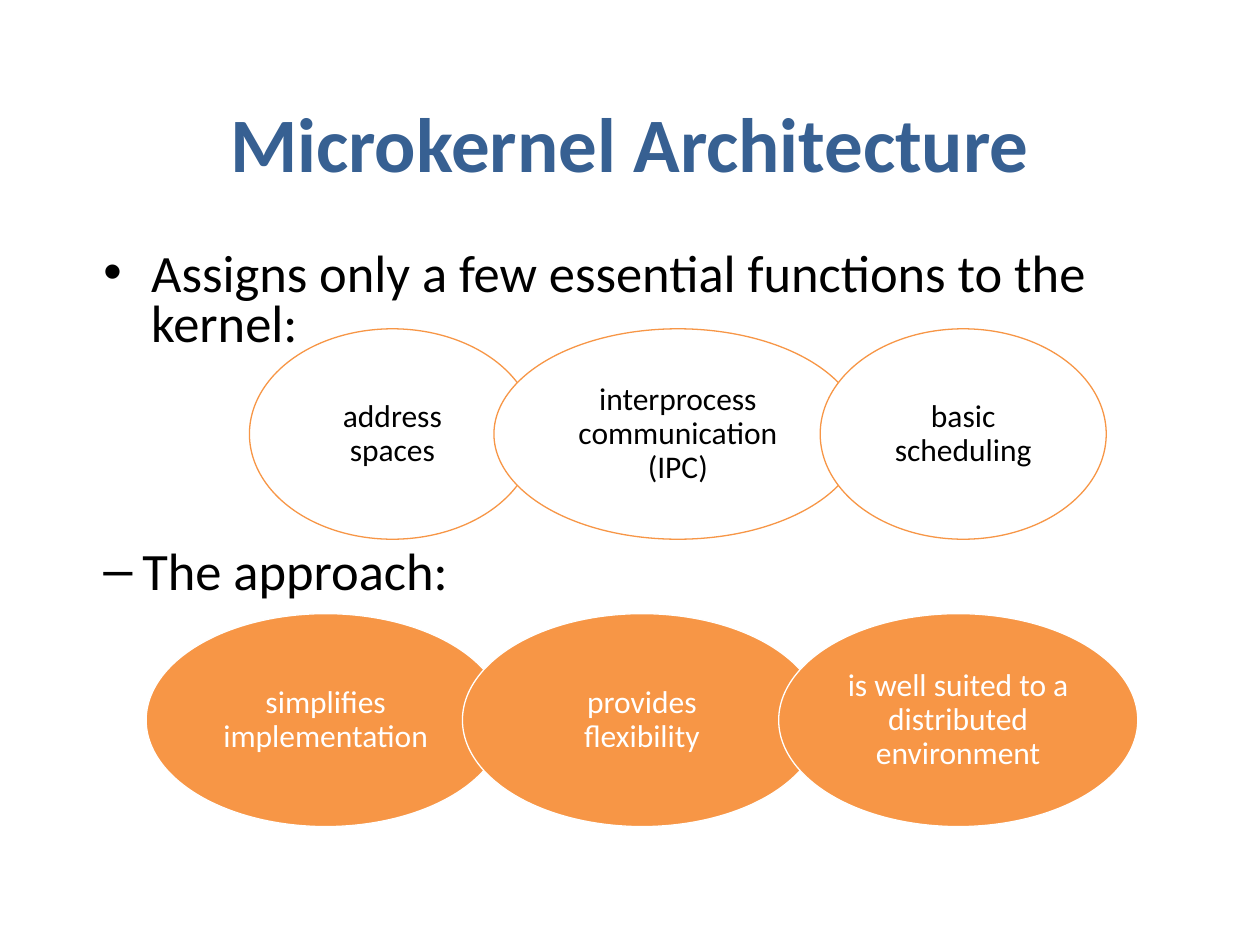
from dataclasses import dataclass

from lxml import etree
from pptx import Presentation
from pptx.dml.color import RGBColor
from pptx.enum.shapes import MSO_SHAPE
from pptx.enum.text import MSO_ANCHOR, MSO_AUTO_SIZE, PP_ALIGN
from pptx.oxml.ns import qn
from pptx.slide import Slide
from pptx.text.text import TextFrame
from pptx.util import Inches, Pt

OVAL = MSO_SHAPE.OVAL
CENTER = PP_ALIGN.CENTER
MIDDLE = MSO_ANCHOR.MIDDLE
TOP = MSO_ANCHOR.TOP
NO_AUTOFIT = MSO_AUTO_SIZE.NONE


@dataclass(frozen=True)
class Theme:
    font: str = "Calibri"
    heading: RGBColor = RGBColor(0x37, 0x60, 0x92)
    text: RGBColor = RGBColor(0, 0, 0)
    accent: RGBColor = RGBColor(0xF7, 0x96, 0x46)
    white: RGBColor = RGBColor(0xFF, 0xFF, 0xFF)
    title_size: int = 44
    body_size: int = 30
    oval_size: int = 18
    outline: float = 0.75


THEME = Theme()


@dataclass(frozen=True)
class Bullet:
    text: str
    mark: str
    level: int
    indent: float
    space_before: float


@dataclass(frozen=True)
class Oval:
    text: str
    width: float


@dataclass(frozen=True)
class OvalChain:
    left: float
    top: float
    height: float
    overlap: float
    fill: RGBColor
    line: RGBColor
    text_color: RGBColor
    ovals: tuple[Oval, ...]


BULLETS = (
    Bullet("Assigns only a few essential functions to the kernel:", "•", 0, 0.38, 0),
    # The space leaves room for the first chain of ovals
    Bullet("The approach:", "–", 1, 0.31, 113),
)

CHAINS = (
    OvalChain(1.98, 2.61, 1.67, 0.33, THEME.white, THEME.accent, THEME.text, (
        Oval("address spaces", 2.27),
        Oval("interprocess communication (IPC)", 2.92),
        Oval("basic scheduling", 2.27),
    )),
    OvalChain(1.16, 4.87, 1.69, 0.34, THEME.accent, THEME.white, THEME.white, (
        Oval("simplifies implementation", 2.85),
        Oval("provides flexibility", 2.85),
        Oval("is well suited to a distributed environment", 2.85),
    )),
)


def add_run(paragraph, text: str, size: float, color: RGBColor, bold: bool = False) -> None:
    run = paragraph.add_run()
    run.text = text
    run.font.name = THEME.font
    run.font.size = Pt(size)
    run.font.bold = bold
    run.font.color.rgb = color


def place(shape, left: float, top: float, width: float, height: float) -> None:
    shape.left, shape.top = Inches(left), Inches(top)
    shape.width, shape.height = Inches(width), Inches(height)


def add_bullet(frame: TextFrame, bullet: Bullet, first: bool) -> None:
    paragraph = frame.paragraphs[0] if first else frame.add_paragraph()
    paragraph.level = bullet.level
    properties = paragraph._p.get_or_add_pPr()
    properties.set("marL", str(Inches(bullet.indent)))
    properties.set("indent", str(-Inches(bullet.indent)))
    etree.SubElement(properties, qn("a:buChar")).set("char", bullet.mark)
    paragraph.line_spacing = 0.8
    paragraph.space_before = Pt(bullet.space_before)
    add_run(paragraph, bullet.text, THEME.body_size, THEME.text)


def add_chain(slide: Slide, chain: OvalChain) -> None:
    group = slide.shapes.add_group_shape()
    left = chain.left
    for oval in chain.ovals:
        shape = group.shapes.add_shape(
            OVAL, Inches(left), Inches(chain.top), Inches(oval.width), Inches(chain.height))
        shape.shadow.inherit = False
        shape.fill.solid()
        shape.fill.fore_color.rgb = chain.fill
        shape.line.color.rgb = chain.line
        shape.line.width = Pt(THEME.outline)
        frame = shape.text_frame
        frame.word_wrap = True
        frame.vertical_anchor = MIDDLE
        frame.margin_left = frame.margin_right = Inches(0.09)
        frame.margin_top = frame.margin_bottom = Inches(0.03)
        paragraph = frame.paragraphs[0]
        paragraph.alignment = CENTER
        paragraph.line_spacing = 0.9
        add_run(paragraph, oval.text, THEME.oval_size, chain.text_color)
        left += oval.width - chain.overlap


def main() -> None:
    presentation = Presentation()
    presentation.slide_width, presentation.slide_height = Inches(10), Inches(7.5)
    slide = presentation.slides.add_slide(presentation.slide_layouts[1])

    # Title
    title = slide.shapes.title
    place(title, 0.72, 0.5, 8.56, 1.25)
    title.text_frame.vertical_anchor = MIDDLE
    heading = title.text_frame.paragraphs[0]
    heading.alignment = CENTER
    add_run(heading, "Microkernel Architecture", THEME.title_size, THEME.heading, bold=True)

    # Body list
    body = slide.placeholders[1]
    place(body, 0.72, 1.95, 8.58, 4.33)
    body.text_frame.auto_size = NO_AUTOFIT
    body.text_frame.vertical_anchor = TOP
    for index, bullet in enumerate(BULLETS):
        add_bullet(body.text_frame, bullet, first=index == 0)

    # Chains of overlapping ovals
    for chain in CHAINS:
        add_chain(slide, chain)

    presentation.save("out.pptx")


if __name__ == "__main__":
    main()
